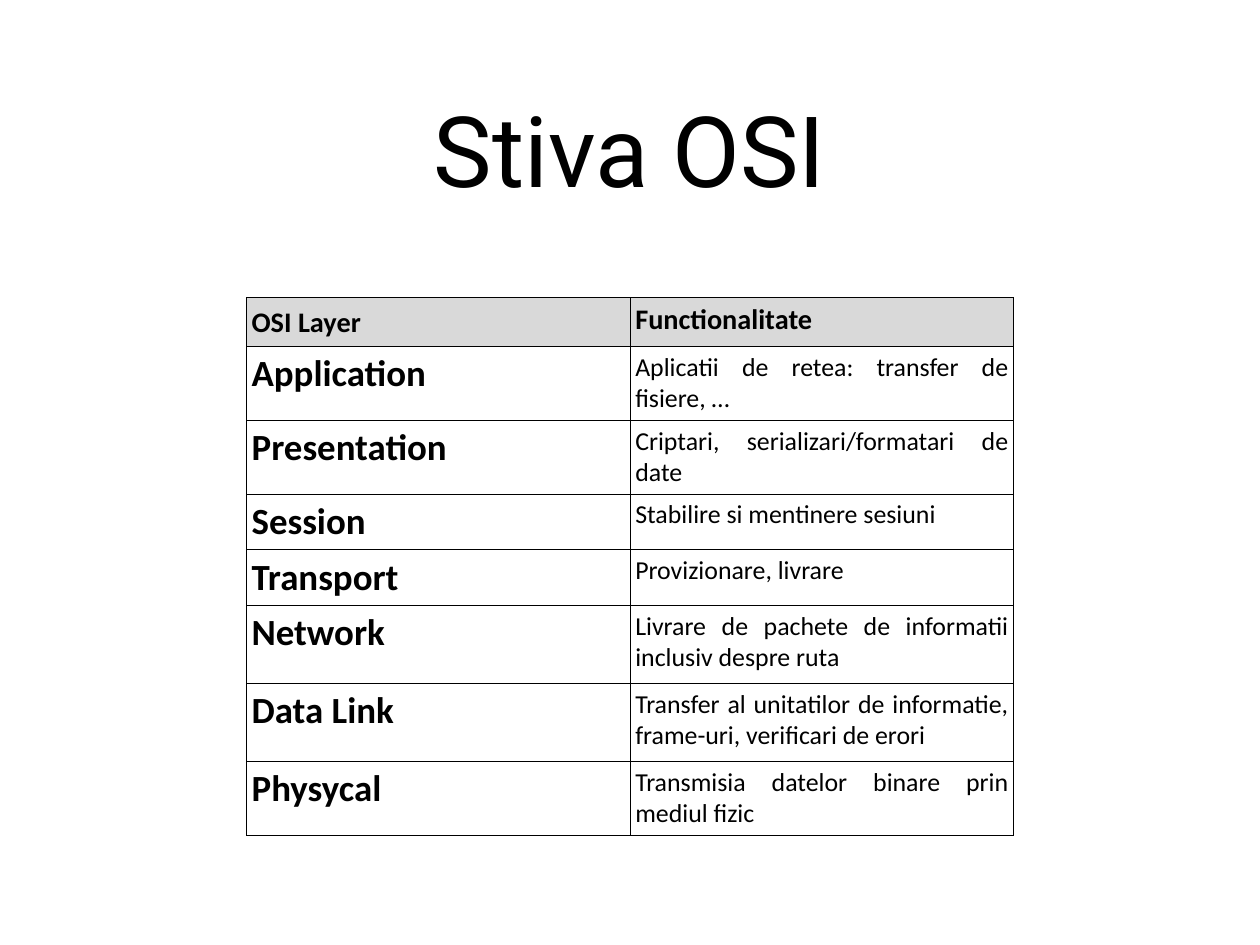
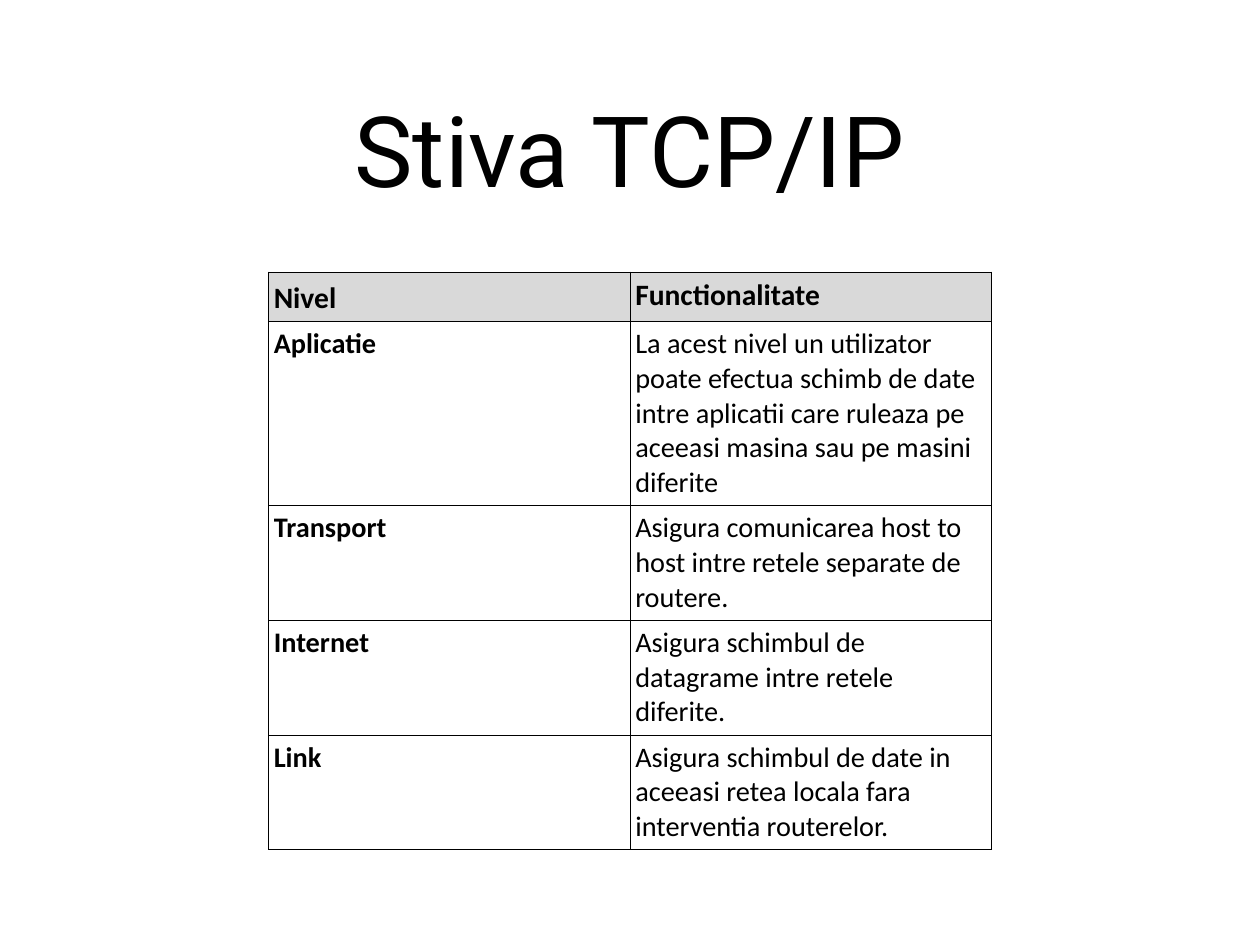
from lxml.etree import SubElement
from pptx import Presentation
from pptx.dml.color import RGBColor
from pptx.enum.text import MSO_ANCHOR, MSO_AUTO_SIZE, PP_ALIGN
from pptx.oxml.ns import qn
from pptx.util import Inches, Pt

BLACK = RGBColor(0x00, 0x00, 0x00)
WHITE = RGBColor(0xFF, 0xFF, 0xFF)
GREY = RGBColor(0xD9, 0xD9, 0xD9)
TITLE_FONT, BODY_FONT = "Roboto", "Calibri"
SLIDE_W, SLIDE_H = 14.22, 10.67
INSET = Inches(0.06)

# Content: sizes are points for the header, the layer names and the descriptions
STACKS = [
    {
        "title": "Stiva OSI",
        "top": 3.36, "col_width": 4.33, "align": PP_ALIGN.JUSTIFY,
        "sizes": (23, 30, 21),
        "heights": [0.55, 0.55, 0.55, 0.55, 0.55, 0.88, 0.88, 0.55],
        "rows": [
            ("OSI Layer", "Functionalitate"),
            ("Application", "Aplicatii de retea: transfer de fisiere, …"),
            ("Presentation", "Criptari, serializari/formatari de date"),
            ("Session", "Stabilire si mentinere sesiuni"),
            ("Transport", "Provizionare, livrare"),
            ("Network", "Livrare de pachete de informatii inclusiv despre ruta"),
            ("Data Link", "Transfer al unitatilor de informatie, frame-uri, "
                          "verificari de erori"),
            ("Physycal", "Transmisia datelor binare prin mediul fizic"),
        ],
    },
    {
        "title": "Stiva TCP/IP",
        "top": 3.07, "col_width": 4.08, "align": PP_ALIGN.LEFT,
        "sizes": (24, 23, 23),
        "heights": [0.51, 1.13, 0.82, 0.82, 0.82],
        "rows": [
            ("Nivel", "Functionalitate"),
            ("Aplicatie", "La acest nivel un utilizator poate efectua schimb de date "
                          "intre aplicatii care ruleaza pe aceeasi masina sau pe "
                          "masini diferite"),
            ("Transport", "Asigura comunicarea host to host intre retele separate "
                          "de routere."),
            ("Internet", "Asigura schimbul de datagrame intre retele diferite."),
            ("Link", "Asigura schimbul de date in aceeasi retea locala fara "
                     "interventia routerelor."),
        ],
    },
]


def set_text(tf, text, font, size, align, bold=False):
    tf.text = text
    p = tf.paragraphs[0]
    p.alignment = align
    f = p.runs[0].font
    f.name, f.size, f.bold = font, Pt(size), bold
    f.color.rgb = BLACK
    return p


def set_insets(box):
    box.margin_left = box.margin_right = box.margin_top = box.margin_bottom = INSET


def add_borders(cell):
    tc_pr = cell._tc.get_or_add_tcPr()
    for side in ("a:lnL", "a:lnR", "a:lnT", "a:lnB"):
        ln = SubElement(tc_pr, qn(side), w=str(Pt(0.5)))
        SubElement(SubElement(ln, qn("a:solidFill")), qn("a:srgbClr"), val=str(BLACK))


def add_title(s, text):
    title = s.shapes.title
    title.left, title.top = Inches(1.04), Inches(0.49)
    title.width, title.height = Inches(SLIDE_W - 2 * 1.04), Inches(2.36)
    tf = title.text_frame
    set_insets(tf)
    tf.word_wrap = True
    tf.auto_size = MSO_AUTO_SIZE.NONE
    tf.vertical_anchor = MSO_ANCHOR.MIDDLE
    set_text(tf, text, TITLE_FONT, 80, PP_ALIGN.CENTER)


def add_stack_table(s, stack):
    rows, heights = stack["rows"], stack["heights"]
    header_size, *column_sizes = stack["sizes"]
    width = 2 * stack["col_width"]
    table = s.shapes.add_table(
        len(rows), 2, Inches((SLIDE_W - width) / 2), Inches(stack["top"]),
        Inches(width), Inches(sum(heights))).table
    table.first_row = table.horz_banding = False

    for i, (texts, height) in enumerate(zip(rows, heights)):
        table.rows[i].height = Inches(height)
        for j, text in enumerate(texts):
            header = i == 0
            cell = table.cell(i, j)
            set_insets(cell)
            add_borders(cell)
            cell.fill.solid()
            cell.fill.fore_color.rgb = GREY if header else WHITE
            p = set_text(cell.text_frame, text, BODY_FONT,
                         header_size if header else column_sizes[j],
                         stack["align"], bold=header or j == 0)
            # The corner heading sits slightly lower than its neighbour
            if header and j == 0:
                p.line_spacing, p.space_before = 1.08, Pt(8)


def main():
    prs = Presentation()
    prs.slide_width, prs.slide_height = Inches(SLIDE_W), Inches(SLIDE_H)
    for stack in STACKS:
        s = prs.slides.add_slide(prs.slide_layouts[5])
        add_title(s, stack["title"])
        add_stack_table(s, stack)
    prs.save("out.pptx")


if __name__ == "__main__":
    main()
